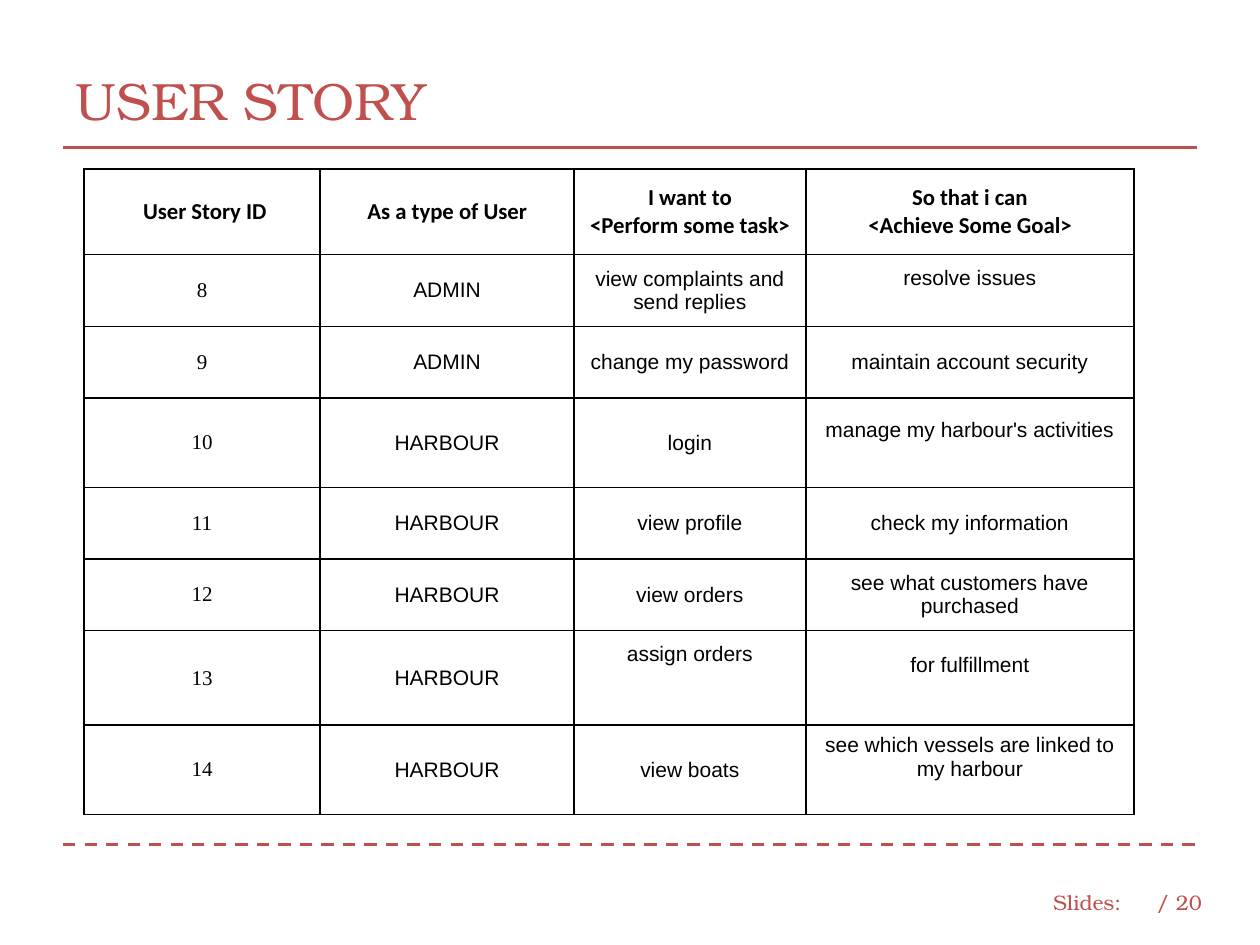
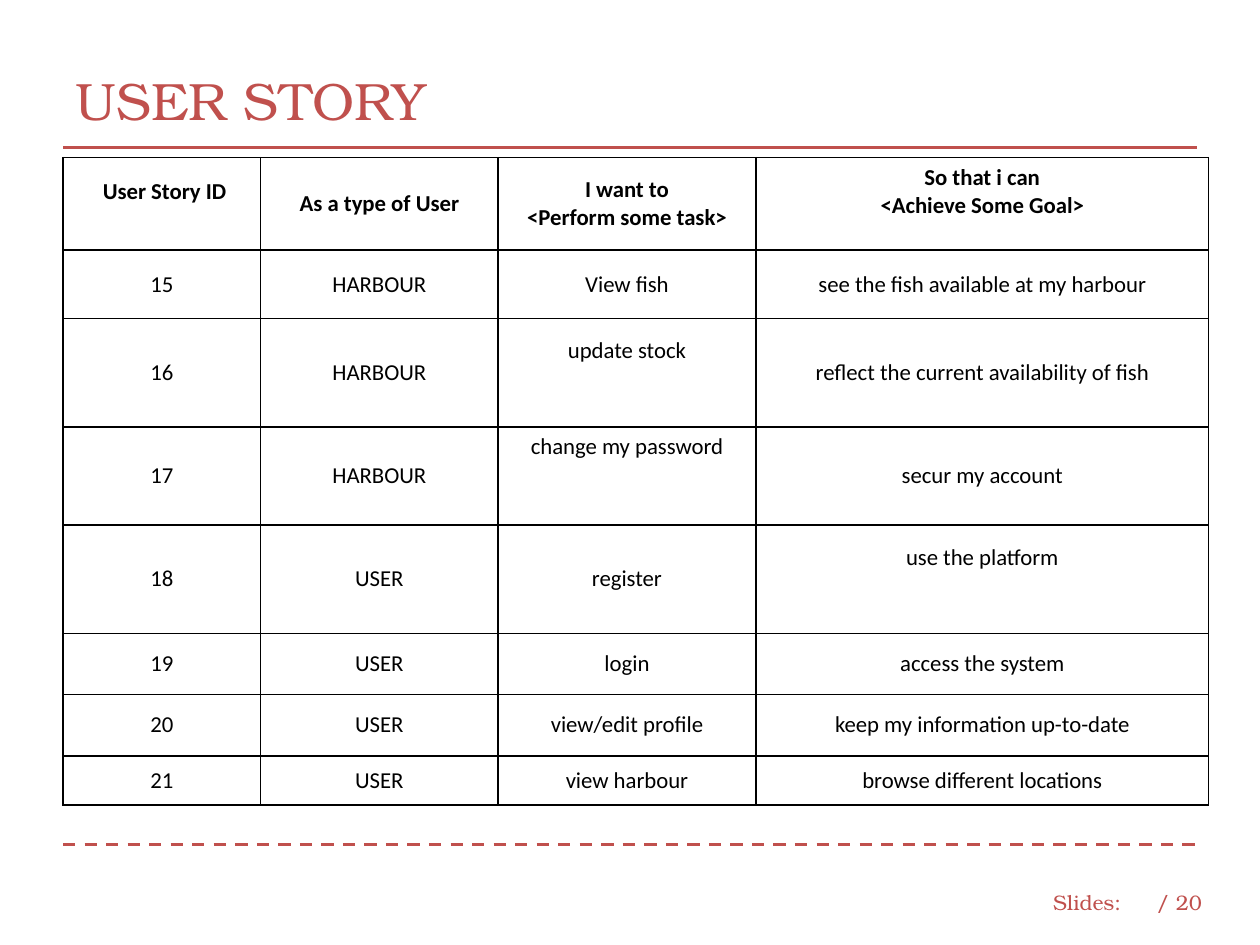
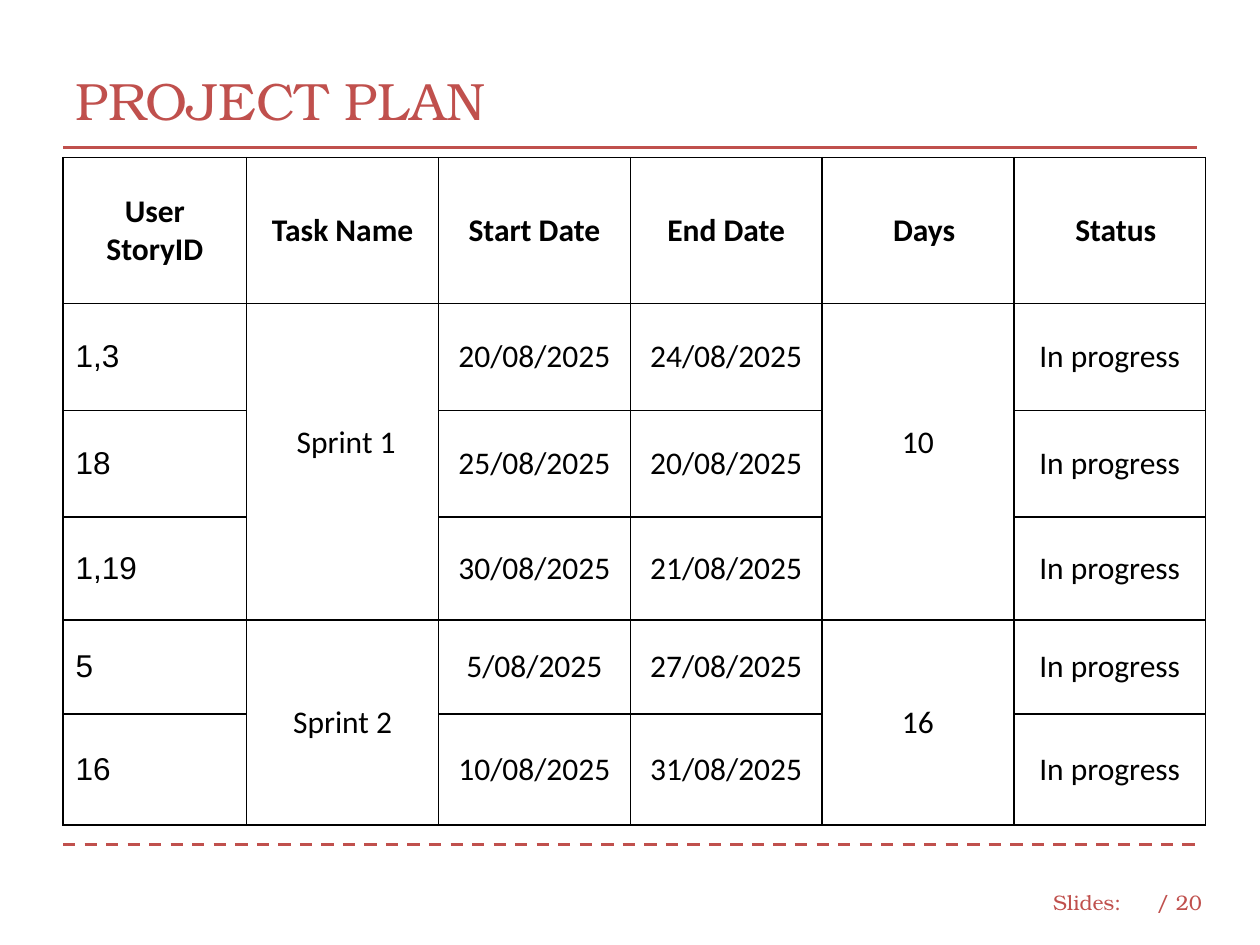
from dataclasses import dataclass

from pptx import Presentation
from pptx import util as u
from pptx.dml.color import RGBColor
from pptx.enum import dml, shapes, text
from pptx.oxml import parse_xml
from pptx.oxml.ns import nsdecls, qn

Pt = u.Pt


@dataclass(frozen=True)
class Theme:
    accent: str = "C0504D"
    ink: str = "000000"
    paper: str = "FFFFFF"
    display: str = "TeX Gyre Bonum"
    body: str = "Calibri"
    title_size: float = 30
    footer_size: float = 12
    rule: float = 1.75
    border: float = 0.96
    line_height: float = 1.2


THEME = Theme()

# Content: None continues the cell above; tweaks are keyed by (row, column),
# "lift" in lines of text and "indent" in points
STORY_HEADER = ["User Story ID", "As a type of User",
                "I want to\n<Perform some task>", "So that i can\n<Achieve Some Goal>"]

PAGES = [
    {
        "title": "USER STORY",
        "at": (48, 96.5),
        "columns": [135, 145, 132.5, 187.5],
        "heights": [49, 41, 41, 51, 41, 41, 54, 51],
        "header_size": 13,
        "size": 12,
        "fonts": ["Times New Roman", "Arial", "Arial", "Arial"],
        "left_columns": [],
        "filled": True,
        "rows": [
            STORY_HEADER,
            ["8", "ADMIN", "view complaints and send replies", "resolve issues"],
            ["9", "ADMIN", "change my password", "maintain account security"],
            ["10", "HARBOUR", "login", "manage my harbour's activities"],
            ["11", "HARBOUR", "view profile", "check my information"],
            ["12", "HARBOUR", "view orders", "see what customers have purchased"],
            ["13", "HARBOUR", "assign orders", "for fulfillment"],
            ["14", "HARBOUR", "view boats", "see which vessels are linked to my harbour"],
        ],
        "tweaks": {(0, 0): {"indent": 3}, (1, 3): {"lift": 1}, (3, 3): {"lift": 1},
                   (6, 2): {"lift": 1.9}, (6, 3): {"lift": 1}, (7, 3): {"lift": 1}},
    },
    {
        "title": "USER STORY",
        "at": (36, 90),
        "columns": [113, 135.5, 147.5, 258.5],
        "heights": [53, 39, 62, 56, 62, 35, 35, 28],
        "header_size": 13,
        "size": 13,
        "fonts": [THEME.body] * 4,
        "left_columns": [],
        "filled": False,
        "rows": [
            STORY_HEADER,
            ["15", "HARBOUR", "View fish", "see the fish available at my harbour"],
            ["16", "HARBOUR", "update stock", "reflect the current availability of fish"],
            ["17", "HARBOUR", "change my password", "secur my account"],
            ["18", "USER", "register", "use the platform"],
            ["19", "USER", "login", "access the system"],
            ["20", "USER", "view/edit profile", "keep my information up-to-date"],
            ["21", "USER", "view harbour", "browse different locations"],
        ],
        "tweaks": {(0, 0): {"lift": 0.9, "indent": 3}, (0, 3): {"lift": 0.9},
                   (2, 2): {"lift": 1.6}, (3, 2): {"top": True}, (4, 3): {"lift": 1.6}},
    },
    {
        "title": "PROJECT PLAN",
        "at": (36, 90),
        "columns": [105] + [109.6] * 5,
        "heights": [83.5, 61, 61, 59, 53.5, 63.5],
        "header_size": 18,
        "size": 18,
        "fonts": ["Arial"] + [THEME.body] * 5,
        "left_columns": [0],
        "filled": True,
        "rows": [
            ["User\nStoryID", "Task Name", "Start Date", "End Date", "Days", "Status"],
            ["1,3", "Sprint 1", "20/08/2025", "24/08/2025", "10", "In progress"],
            ["18", None, "25/08/2025", "20/08/2025", None, "In progress"],
            ["1,19", None, "30/08/2025", "21/08/2025", None, "In progress"],
            ["5", "Sprint 2", "5/08/2025", "27/08/2025", "16", "In progress"],
            ["16", None, "10/08/2025", "31/08/2025", None, "In progress"],
        ],
        "tweaks": {(0, 4): {"indent": 7}, (0, 5): {"indent": 7},
                   (1, 1): {"lift": 1, "indent": 4}, (1, 4): {"lift": 1}},
    },
]

TITLE_BOX = {"left": Pt(36), "top": Pt(24), "width": Pt(648), "height": Pt(65.5)}
RULES = [(482.4, dml.MSO_LINE.DASH), (84.24, dml.MSO_LINE.SOLID)]
FOOTERS = [("Slides:", 594.7, 54), ("/ 20", 653.8, 41)]


# Helpers
def set_all(target, values):
    for name, value in values.items():
        setattr(target, name, value)


def style_text(frame, font, size, colour, bold=False, align=text.PP_ALIGN.LEFT):
    for para in frame.paragraphs:
        para.alignment = align
        for span in para.runs:
            set_all(span.font, {"name": font, "size": Pt(size), "bold": bold})
            span.font.color.rgb = RGBColor.from_string(colour)


def add_rule(page, top, dash):
    rule = page.shapes.add_connector(shapes.MSO_CONNECTOR.STRAIGHT,
                                     Pt(36), Pt(top), Pt(684), Pt(top))
    set_all(rule.line, {"width": Pt(THEME.rule), "dash_style": dash})
    rule.line.color.rgb = RGBColor.from_string(THEME.accent)
    rule.element.spPr.append(parse_xml(f"<a:effectLst {nsdecls('a')}/>"))
    return rule


def add_footer(page, words, left, width):
    box = page.shapes.add_textbox(Pt(left), Pt(501), Pt(width), Pt(29))
    set_all(box.text_frame, {"text": words, "word_wrap": False,
                             "vertical_anchor": text.MSO_ANCHOR.MIDDLE})
    style_text(box.text_frame, THEME.display, THEME.footer_size, THEME.accent)
    return box


def share_on_layout(page):
    """Build rules and footers once and hand them to the layout."""
    title = page.slide_layout.placeholders[0]
    set_all(title, TITLE_BOX)
    parts = [add_footer(page, *footer) for footer in FOOTERS]
    parts += [add_rule(page, *rule) for rule in RULES]
    tree = title.element.getparent()
    for number, part in enumerate(parts, start=20):
        next(part.element.iter(qn("p:cNvPr"))).set("id", str(number))
        tree.append(part.element)


def add_borders(cell):
    properties = cell._tc.get_or_add_tcPr()
    for index, side in enumerate(("lnL", "lnR", "lnT", "lnB")):
        properties.insert(index, parse_xml(
            f'<a:{side} {nsdecls("a")} w="{Pt(THEME.border)}"><a:solidFill>'
            f'<a:srgbClr val="{THEME.ink}"/></a:solidFill></a:{side}>'))


def fill_cell(cell, words, content, row, column):
    tweak = content["tweaks"].get((row, column), {})
    header = row == 0
    size = content["header_size"] if header else content["size"]
    left = column in content["left_columns"] and not header
    lift = tweak.get("lift", 0) * size * THEME.line_height
    anchor = text.MSO_ANCHOR.TOP if tweak.get("top") else text.MSO_ANCHOR.MIDDLE
    set_all(cell, {"vertical_anchor": anchor, "margin_bottom": Pt(3.6 + lift),
                   "margin_left": Pt(7.2 + tweak.get("indent", 0))})
    if content["filled"]:
        cell.fill.solid()
        cell.fill.fore_color.rgb = RGBColor.from_string(THEME.paper)
    else:
        cell.fill.background()
    add_borders(cell)
    if words:
        cell.text_frame.text = words
        style_text(cell.text_frame, THEME.body if header else content["fonts"][column],
                   size, THEME.ink, header,
                   text.PP_ALIGN.LEFT if left else text.PP_ALIGN.CENTER)


def add_grid(page, content):
    rows, columns, heights = content["rows"], content["columns"], content["heights"]
    left, top = content["at"]
    table = page.shapes.add_table(len(rows), len(columns), Pt(left), Pt(top),
                                  Pt(sum(columns)), Pt(sum(heights))).table
    set_all(table, {"first_row": False, "horz_banding": False})
    for column, width in zip(table.columns, columns):
        column.width = Pt(width)
    for row, height in zip(table.rows, heights):
        row.height = Pt(height)
    for r, row in enumerate(rows):
        for c, words in enumerate(row):
            fill_cell(table.cell(r, c), words, content, r, c)
    # Merge each cell with the open cells below it
    for c in range(len(columns)):
        starts = [r for r, row in enumerate(rows) if row[c] is not None]
        for start, end in zip(starts, starts[1:] + [len(rows)]):
            if end - start > 1:
                table.cell(start, c).merge(table.cell(end - 1, c))


def main():
    deck = Presentation()
    set_all(deck, {"slide_width": Pt(720), "slide_height": Pt(540)})
    layout = deck.slide_layouts[5]
    for number, content in enumerate(PAGES):
        page = deck.slides.add_slide(layout)
        if number == 0:
            share_on_layout(page)
        title = page.shapes.title
        set_all(title, TITLE_BOX)
        set_all(title.text_frame, {"text": content["title"],
                                   "vertical_anchor": text.MSO_ANCHOR.MIDDLE})
        style_text(title.text_frame, THEME.display, THEME.title_size, THEME.accent)
        add_grid(page, content)
    deck.save("out.pptx")


if __name__ == "__main__":
    main()
